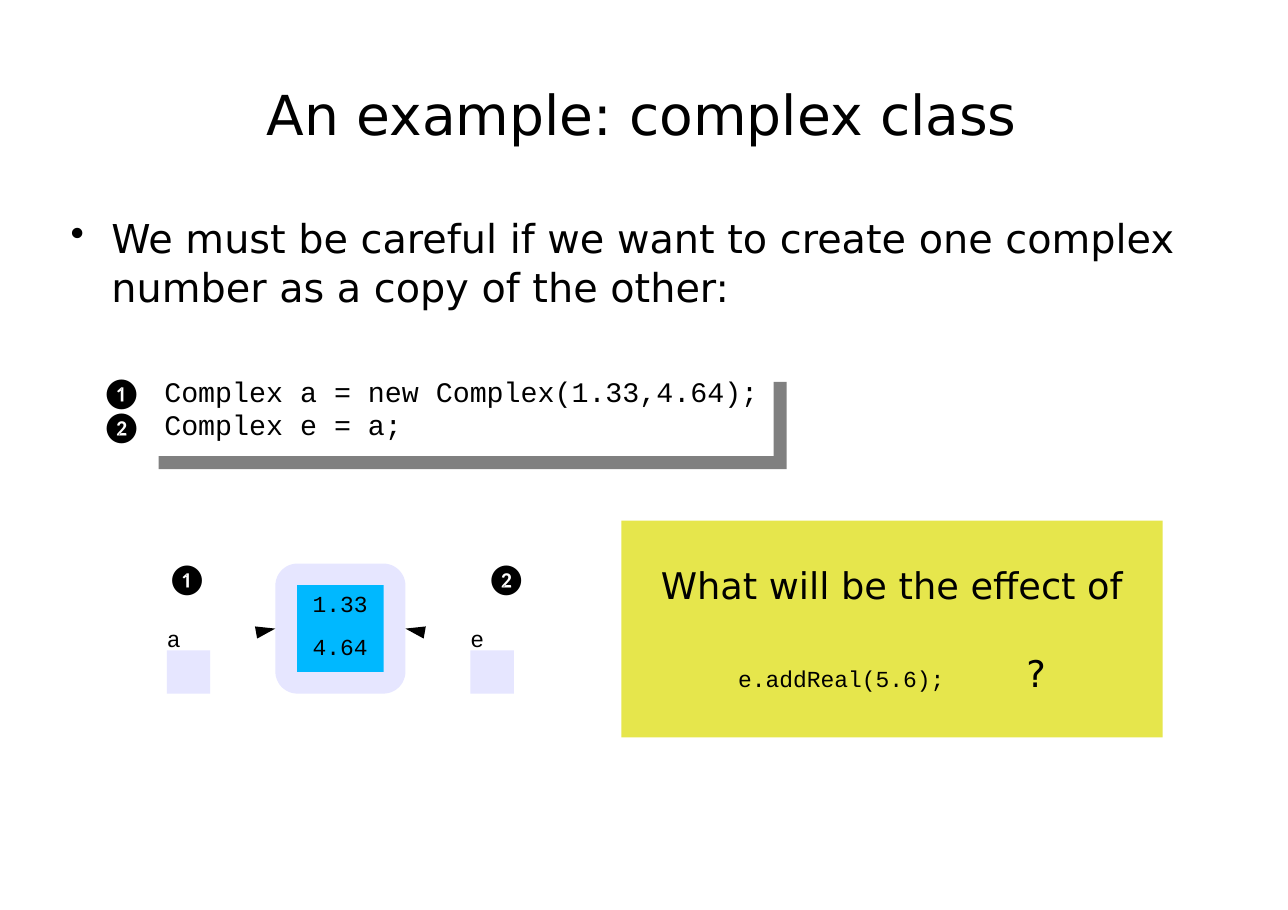
import pptx
import pptx.dml.color
import pptx.enum.shapes
import pptx.enum.text
import pptx.oxml.ns
import pptx.util
from lxml import etree

Cm, Pt = pptx.util.Cm, pptx.util.Pt
Preset = pptx.enum.shapes.MSO_SHAPE
SANS, CODE, SYMBOL = "DejaVu Sans", "Courier New", "Calibri"


def color(hex_value):
    return pptx.dml.color.RGBColor.from_string(hex_value)


class ComplexSlide:
    INK = "000000"
    PALE = "E6E6FF"

    def __init__(self, deck):
        self.slide = deck.slides.add_slide(deck.slide_layouts[6])
        self.shapes = self.slide.shapes

    def fill(self, shape, hex_value):
        shape.shadow.inherit = False
        shape.fill.solid()
        shape.fill.fore_color.rgb = color(hex_value)
        shape.line.fill.background()
        return shape

    def block(self, left, top, width, height, hex_value, preset=Preset.RECTANGLE):
        shape = self.shapes.add_shape(preset, Cm(left), Cm(top), Cm(width), Cm(height))
        return self.fill(shape, hex_value)

    def arrowhead(self, points):
        corners = [(Cm(x), Cm(y)) for x, y in points]
        builder = self.shapes.build_freeform(*corners[0])
        builder.add_line_segments(corners[1:], close=True)
        self.fill(builder.convert_to_shape(), self.INK)

    def set_lines(self, frame, lines, font, size, before=(0.9,), leading=(None,),
                  inset=(0, 0.03), wrap=False):
        layout = {"word_wrap": wrap, "margin_left": Cm(inset[0]), "margin_top": Cm(inset[1]),
                  "margin_right": 0, "margin_bottom": 0,
                  "vertical_anchor": pptx.enum.text.MSO_ANCHOR.TOP}
        for name, value in layout.items():
            setattr(frame, name, value)
        for number, line in enumerate(lines):
            paragraph = frame.paragraphs[0] if number == 0 else frame.add_paragraph()
            style = {"alignment": pptx.enum.text.PP_ALIGN.LEFT,
                     "space_before": Pt(before[min(number, len(before) - 1)]),
                     "line_spacing": leading[min(number, len(leading) - 1)]}
            for name, value in style.items():
                setattr(paragraph, name, value)
            run = paragraph.add_run()
            run.text = line
            for name, value in {"name": font, "size": Pt(size)}.items():
                setattr(run.font, name, value)
            run.font.color.rgb = color(self.INK)

    def text(self, left, top, width, height, lines, font, size, **options):
        box = self.shapes.add_textbox(Cm(left), Cm(top), Cm(width), Cm(height))
        self.set_lines(box.text_frame, lines, font, size, **options)
        return box

    def bullet(self, box, hanging):
        for paragraph in box.text_frame.paragraphs:
            properties = paragraph._p.get_or_add_pPr()
            properties.set("marL", str(Cm(hanging)))
            properties.set("indent", str(-Cm(hanging)))
            mark = etree.SubElement(properties, pptx.oxml.ns.qn("a:buChar"))
            mark.set("char", "•")


def main():
    deck = pptx.Presentation()
    deck.slide_width, deck.slide_height = Cm(29.7), Cm(20.99)
    page = ComplexSlide(deck)

    # Title and warning
    page.text(6.15, 1.83, 20, 1.6, ["An example: complex class"], SANS, 36)
    warning = page.text(
        1.63, 4.9, 25.6, 2.3,
        ["We must be careful if we want to create one complex number as a copy of the other:"],
        SANS, 26, before=(0.7,), leading=(1.01,), wrap=True)
    page.bullet(warning, 0.94)

    # Code panel with its offset backing
    for left, top, hex_value in ((3.66, 8.81, "808080"), (3.36, 8.51, "FFFFFF")):
        page.block(left, top, 14.48, 2.01, hex_value)
    page.text(3.79, 8.81, 14.3, 2.01,
              ["Complex a = new Complex(1.33,4.64);", "Complex e = a;"],
              CODE, 18.5, before=(0,), leading=(Pt(17.4), Pt(21.1)), inset=(0, 0))
    page.text(2.34, 8.64, 0.7, 1.65, ["❶", "❷"], SYMBOL, 20,
              before=(0.9, 0), leading=(Pt(22.6),))

    # Shared object
    instance = page.block(6.35, 13, 3, 3, page.PALE, Preset.ROUNDED_RECTANGLE)
    instance.adjustments[0] = 0.17
    fields = page.block(6.85, 13.5, 2, 2, "00B8FF")
    page.set_lines(fields.text_frame, ["1.33", "4.64"], CODE, 15,
                   before=(3, 10.3), inset=(0.36, 0.1))

    # References a and e, with arrowheads mirrored about the object's centre
    for name, number, left, side in (("a", "❶", 3.85, -1), ("e", "❷", 10.85, 1)):
        page.block(left, 15, 1, 1, page.PALE)
        page.text(left, 14.38, 0.4, 0.7, [name], CODE, 15)
        page.text(left + (0 if side < 0 else 0.36), 12.88, 0.7, 0.9, [number], SYMBOL, 20)
        page.arrowhead([(7.85 + side * reach, y)
                        for reach, y in ((1.5, 14.5), (1.97, 14.45), (1.92, 14.73))])

    # Question
    page.block(14.33, 12.01, 12.48, 5, "E6E64C")
    page.text(15.24, 12.95, 10.7, 1.1, ["What will be the effect of"], SANS, 24)
    page.text(17.02, 15.29, 4.8, 0.7, ["e.addReal(5.6);"], CODE, 15)
    page.text(23.67, 14.99, 0.5, 1.1, ["?"], SANS, 24)

    deck.save("out.pptx")


if __name__ == "__main__":
    main()
